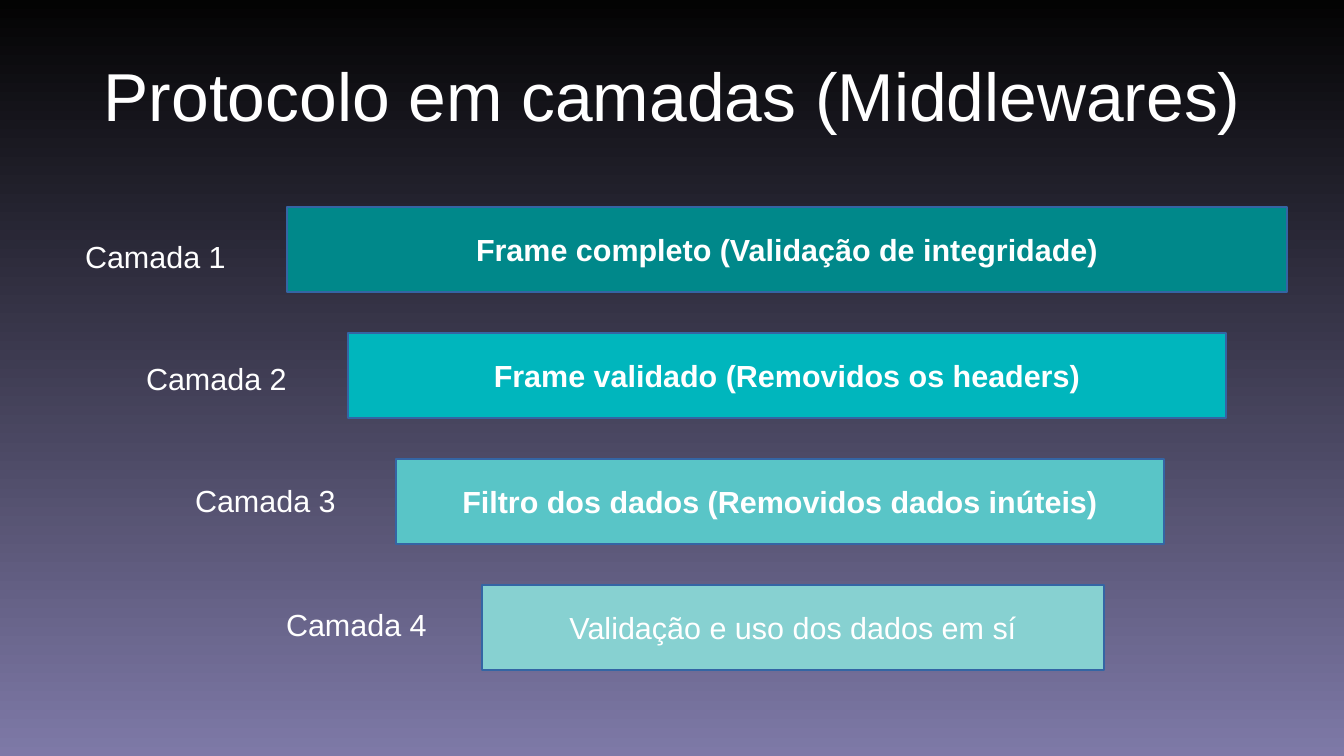
from pptx import Presentation
from pptx.dml.color import RGBColor
from pptx.enum.shapes import MSO_SHAPE
from pptx.enum.text import MSO_ANCHOR, MSO_AUTO_SIZE, PP_ALIGN
from pptx.util import Pt

WHITE = RGBColor(0xFF, 0xFF, 0xFF)
NIGHT = RGBColor(0x03, 0x03, 0x03)
LAVENDER = RGBColor(0x7E, 0x79, 0xA7)
OUTLINE = RGBColor(0x34, 0x65, 0xA4)
DEEP_TEAL = RGBColor(0x00, 0x88, 0x8A)
TEAL = RGBColor(0x00, 0xB6, 0xBD)
SOFT_TEAL = RGBColor(0x59, 0xC5, 0xC7)
PALE_TEAL = RGBColor(0x87, 0xD1, 0xD1)

TITLE = "Protocolo em camadas (Middlewares)"
LAYERS = [
    ("Frame completo (Validação de integridade)", DEEP_TEAL, True, 287, 1000, (73, 232)),
    ("Frame validado (Removidos os headers)", TEAL, True, 348, 878, (134, 354)),
    ("Filtro dos dados (Removidos dados inúteis)", SOFT_TEAL, True, 396, 768, (183, 476)),
    ("Validação e uso dos dados em sí", PALE_TEAL, False, 482, 622, (274, 600)),
]

PX = 914400 // 122
BAR_TOP, BAR_PITCH, BAR_HEIGHT = 207, 126, 85
LABEL_WIDTH, LABEL_HEIGHT = 165, 46


def px(*lengths):
    return [length * PX for length in lengths]


def write(box, text, size, align, bold=False):
    para = box.text_frame.paragraphs[0]
    para.alignment = align
    span = para.add_run()
    span.text = text
    span.font.name = "Arial"
    span.font.size = Pt(size)
    span.font.bold = bold
    span.font.color.rgb = WHITE


def add_bar(page, text, color, bold, left, top, width):
    bar = page.shapes.add_shape(MSO_SHAPE.RECTANGLE, *px(left, top, width, BAR_HEIGHT))
    bar.shadow.inherit = False
    bar.fill.solid()
    bar.fill.fore_color.rgb = color
    bar.line.color.rgb = OUTLINE
    bar.line.width = 0
    bar.text_frame.word_wrap = False
    bar.text_frame.vertical_anchor = MSO_ANCHOR.MIDDLE
    write(bar, text, 18, PP_ALIGN.CENTER, bold)


def add_label(page, text, left, top):
    label = page.shapes.add_textbox(*px(left, top, LABEL_WIDTH, LABEL_HEIGHT))
    label.text_frame.word_wrap = False
    label.text_frame.auto_size = MSO_AUTO_SIZE.SHAPE_TO_FIT_TEXT
    write(label, text, 18, PP_ALIGN.LEFT)


def add_title(page):
    title = page.shapes.title
    title.left, title.top, title.width, title.height = px(67, 31, 1210, 127)
    frame = title.text_frame
    frame.margin_left = frame.margin_top = frame.margin_right = frame.margin_bottom = 0
    frame.vertical_anchor = MSO_ANCHOR.MIDDLE
    frame.auto_size = MSO_AUTO_SIZE.NONE
    write(title, TITLE, 40, PP_ALIGN.CENTER)


def paint_background(page):
    fill = page.background.fill
    fill.gradient()
    fill.gradient_angle = 270
    for stop, color in zip(fill.gradient_stops, (NIGHT, LAVENDER)):
        stop.color.rgb = color


def main():
    deck = Presentation()
    deck.slide_width, deck.slide_height = px(1344, 756)
    page = deck.slides.add_slide(deck.slide_layouts[5])
    paint_background(page)
    add_title(page)
    for index, (text, color, bold, left, width, label_at) in enumerate(LAYERS):
        add_bar(page, text, color, bold, left, BAR_TOP + index * BAR_PITCH, width)
        add_label(page, f"Camada {index + 1}", *label_at)
    deck.save("out.pptx")


if __name__ == "__main__":
    main()
